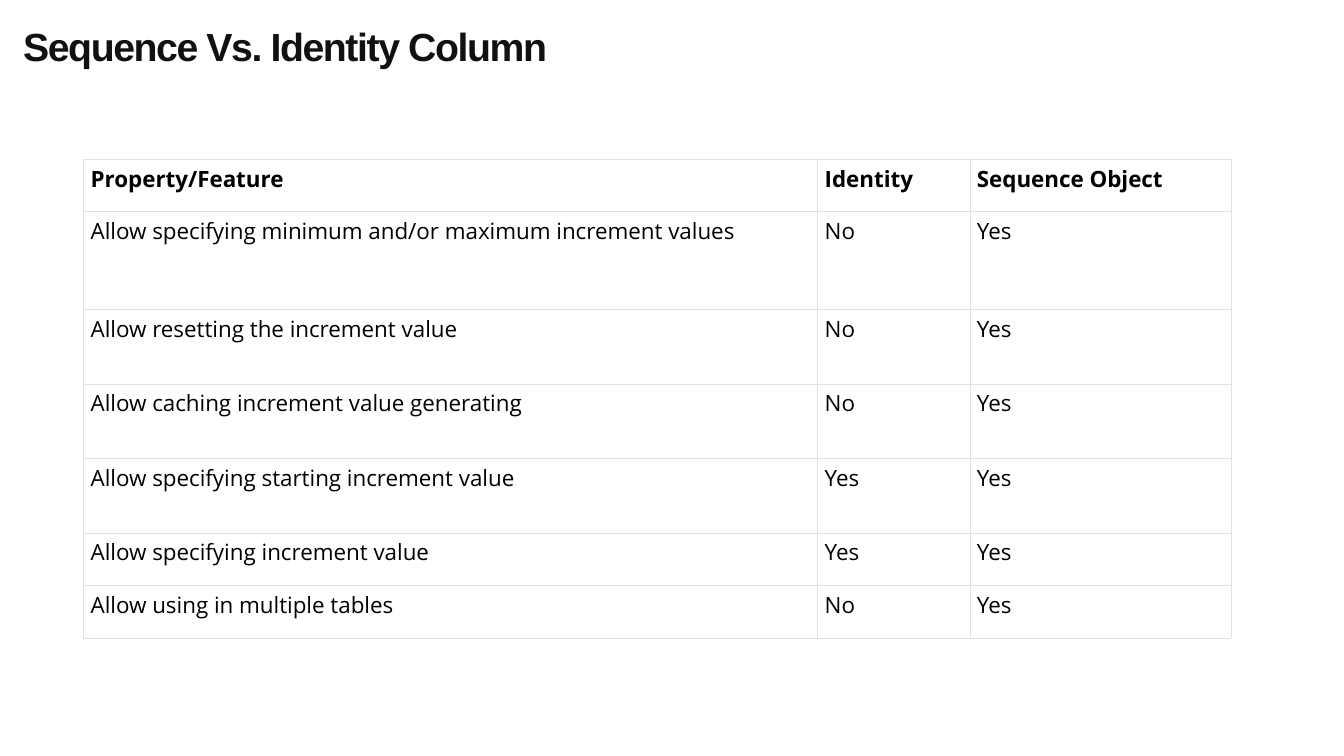
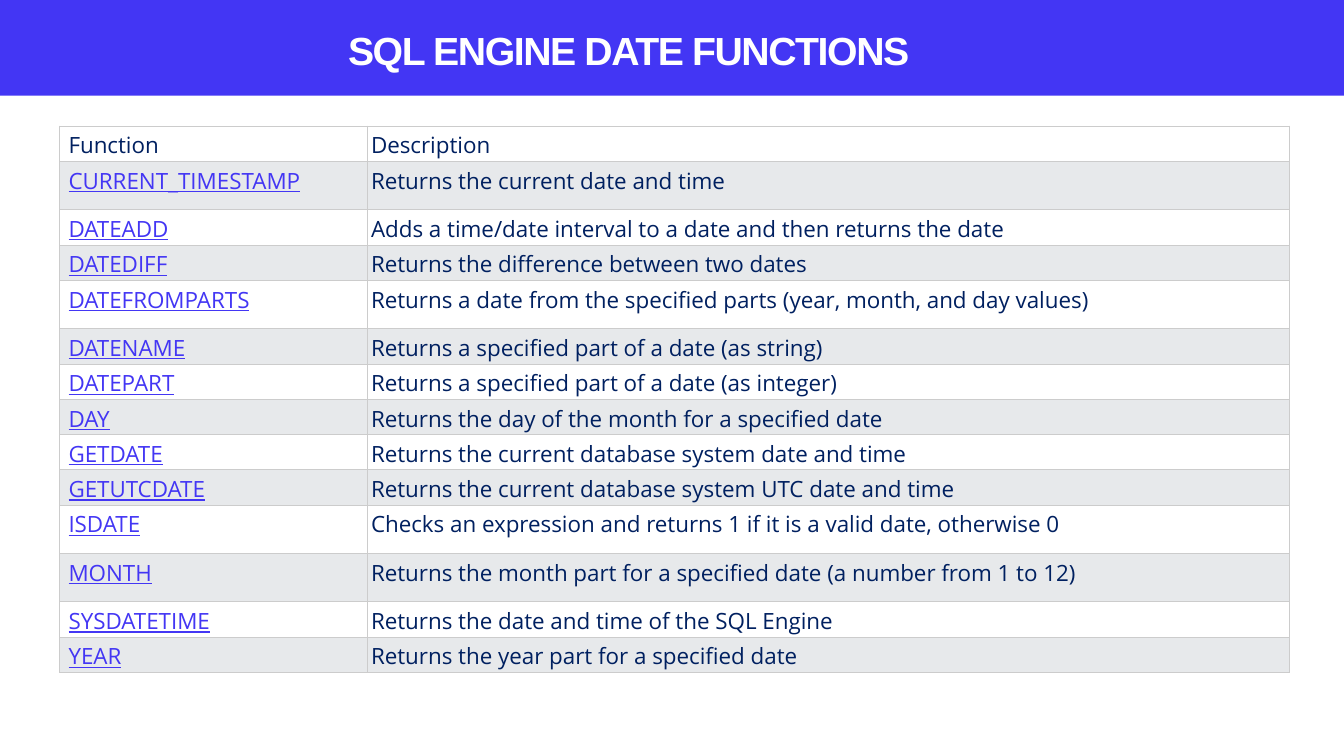
"""Build two table slides: sequence versus identity, and SQL date functions."""
from lxml import etree
from pptx import Presentation
from pptx.dml.color import RGBColor
from pptx.enum import shapes, text
from pptx.oxml import ns
from pptx.util import Inches, Pt

COLORS = {
    "white": "FFFFFF", "black": "000000", "title": "111111", "accent": "4336F4",
    "navy": "002060", "stripe": "E7E9EB", "pale_line": "DEE2E6", "grey_line": "CCCCCC",
}
TITLE_FONT, TITLE_SIZE = "Arial", 28
BODY_FONT, BODY_SIZE = "Open Sans", 16
BORDER_WIDTH = 0.6

FEATURES = [
    ("Property/Feature", "Identity", "Sequence Object"),
    ("Allow specifying minimum and/or maximum increment values", "No", "Yes"),
    ("Allow resetting the increment value", "No", "Yes"),
    ("Allow caching increment value generating", "No", "Yes"),
    ("Allow specifying starting increment value", "Yes", "Yes"),
    ("Allow specifying increment value", "Yes", "Yes"),
    ("Allow using in multiple tables", "No", "Yes"),
]
FEATURE_HEIGHTS = [0.52, 0.97, 0.74, 0.74, 0.74, 0.52, 0.52]

FUNCTIONS = [
    ("Function", "Description"),
    ("CURRENT_TIMESTAMP", "Returns the current date and time"),
    ("DATEADD", "Adds a time/date interval to a date and then returns the date"),
    ("DATEDIFF", "Returns the difference between two dates"),
    ("DATEFROMPARTS", "Returns a date from the specified parts (year, month, and day values)"),
    ("DATENAME", "Returns a specified part of a date (as string)"),
    ("DATEPART", "Returns a specified part of a date (as integer)"),
    ("DAY", "Returns the day of the month for a specified date"),
    ("GETDATE", "Returns the current database system date and time"),
    ("GETUTCDATE", "Returns the current database system UTC date and time"),
    ("ISDATE", "Checks an expression and returns 1 if it is a valid date, otherwise 0"),
    ("MONTH", "Returns the month part for a specified date (a number from 1 to 12)"),
    ("SYSDATETIME", "Returns the date and time of the SQL Engine"),
    ("YEAR", "Returns the year part for a specified date"),
]
TALL_FUNCTIONS = {"CURRENT_TIMESTAMP", "DATEFROMPARTS", "ISDATE", "MONTH"}
FUNCTION_HEIGHTS = [0.48 if name in TALL_FUNCTIONS else 0.35 for name, _ in FUNCTIONS]


def rgb(name):
    return RGBColor.from_string(COLORS[name])


def add_run(p, words, font, size, color, bold=False, underline=False):
    r = p.add_run()
    r.text = words
    r.font.name, r.font.size = font, Pt(size)
    r.font.bold, r.font.underline = bold, underline
    r.font.color.rgb = rgb(color)
    return r


def add_title(s, words, box, color, align):
    tf = s.shapes.add_textbox(*map(Inches, box)).text_frame
    tf.word_wrap = True
    tf.vertical_anchor = text.MSO_ANCHOR.MIDDLE
    tf.margin_left = tf.margin_top = tf.margin_right = tf.margin_bottom = 0
    p = tf.paragraphs[0]
    p.alignment = align
    r = add_run(p, words, TITLE_FONT, TITLE_SIZE, color, bold=True)
    r.font._element.set("spc", "-100")


def add_borders(cell, color):
    tc_pr = cell._tc.get_or_add_tcPr()
    for side in "LRTB":
        line = etree.SubElement(tc_pr, ns.qn(f"a:ln{side}"), w=str(Pt(BORDER_WIDTH)))
        fill = etree.SubElement(line, ns.qn("a:solidFill"))
        etree.SubElement(fill, ns.qn("a:srgbClr"), val=COLORS[color])


def add_table(s, rows, left, top, widths, heights, line, margins, style):
    size = (sum(widths), sum(heights))
    frame = s.shapes.add_table(len(rows), len(widths), *map(Inches, (left, top, *size)))
    table = frame.table
    table.first_row = table.horz_banding = False
    for column, width in zip(table.columns, widths):
        column.width = Inches(width)
    for i, (row, height) in enumerate(zip(rows, heights)):
        table.rows[i].height = Inches(height)
        for j, words in enumerate(row):
            cell = table.cell(i, j)
            fill, font = style(i, j)
            add_borders(cell, line)
            cell.fill.solid()
            cell.fill.fore_color.rgb = rgb(fill)
            (cell.margin_left, cell.margin_top,
             cell.margin_right, cell.margin_bottom) = map(Inches, margins[j])
            add_run(cell.text_frame.paragraphs[0], words, BODY_FONT, BODY_SIZE, **font)


def feature_style(i, j):
    return "white", {"color": "black", "bold": i == 0}


def function_style(i, j):
    is_name = i > 0 and j == 0
    font = {"color": "accent" if is_name else "navy", "underline": is_name}
    return "stripe" if i % 2 else "white", font


def build_features(s):
    add_title(s, "Sequence Vs. Identity Column", (0.23, 0.09, 7.33, 0.72),
              "title", text.PP_ALIGN.LEFT)
    add_table(s, FEATURES, 0.83, 1.58, [7.28, 1.51, 2.59], FEATURE_HEIGHTS,
              "pale_line", [(0.07, 0.04, 0.07, 0.04)] * 3, feature_style)


def build_functions(s, slide_width):
    band = s.shapes.add_shape(shapes.MSO_SHAPE.RECTANGLE, 0, 0, slide_width, Inches(0.95))
    band.shadow.inherit = False
    band.fill.solid()
    band.fill.fore_color.rgb = rgb("accent")
    band.line.fill.background()
    add_title(s, "SQL ENGINE DATE FUNCTIONS", (2.28, 0.26, 7.91, 0.47),
              "white", text.PP_ALIGN.CENTER)
    add_table(s, FUNCTIONS, 0.59, 1.25, [3.05, 9.15], FUNCTION_HEIGHTS, "grey_line",
              [(0.09, 0.04, 0.04, 0.01), (0.04, 0.04, 0.04, 0.01)], function_style)


def main():
    prs = Presentation()
    prs.slide_width, prs.slide_height = Inches(13.33), Inches(7.5)
    blank = prs.slide_layouts[6]
    build_features(prs.slides.add_slide(blank))
    build_functions(prs.slides.add_slide(blank), prs.slide_width)
    prs.save("out.pptx")


if __name__ == "__main__":
    main()
